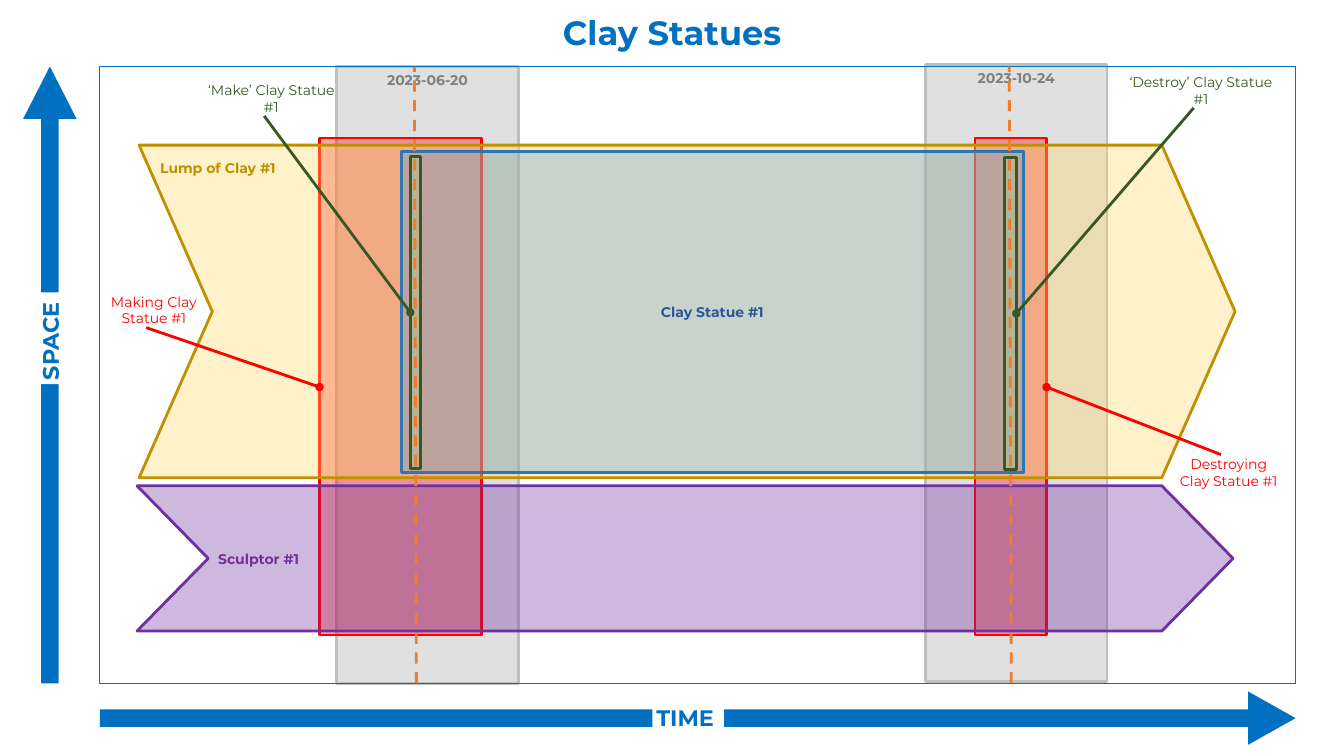
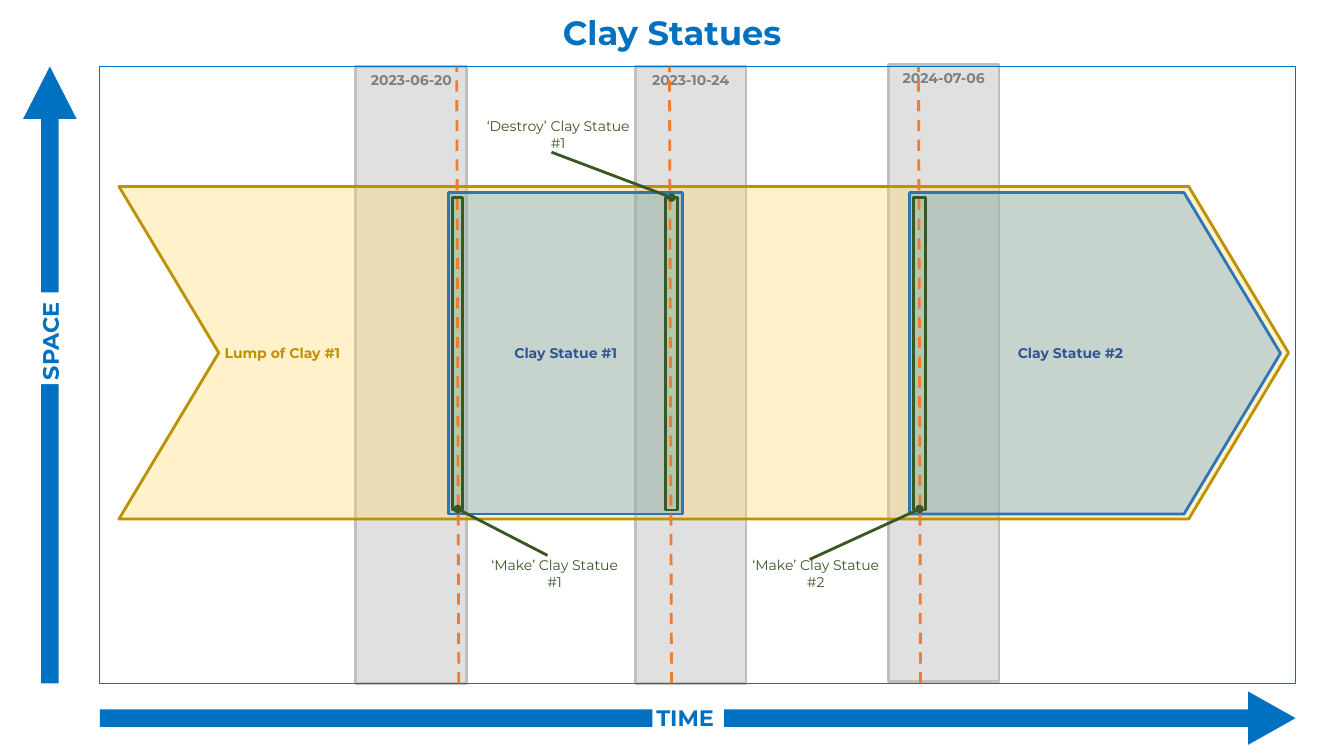
import pptx
import pptx.util
import pptx.dml.color
import pptx.enum.dml
import pptx.enum.shapes
import pptx.enum.text
import pptx.oxml
import pptx.oxml.ns
from lxml import etree

RGB = pptx.dml.color.RGBColor
SHAPE = pptx.enum.shapes.MSO_SHAPE
ALIGN = pptx.enum.text.PP_ALIGN
ANCHOR = pptx.enum.text.MSO_ANCHOR
qn = pptx.oxml.ns.qn

BLUE = RGB(0x00, 0x70, 0xC0)
WHITE = RGB(0xFF, 0xFF, 0xFF)
GRAY = RGB(0xA6, 0xA6, 0xA6)
GRAY_EDGE = RGB(0xBF, 0xBF, 0xBF)
GRAY_TEXT = RGB(0x80, 0x80, 0x80)
RED = RGB(0xFF, 0x00, 0x00)
CLAY = RGB(0xFF, 0xD9, 0x66)
CLAY_EDGE = RGB(0xBF, 0x90, 0x00)
PURPLE = RGB(0x70, 0x30, 0xA0)
STATUE = RGB(0x5B, 0x9B, 0xD5)
STATUE_EDGE = RGB(0x2E, 0x75, 0xB6)
STATUE_TEXT = RGB(0x2F, 0x55, 0x97)
EVENT = RGB(0xA9, 0xD1, 0x8E)
GREEN = RGB(0x38, 0x57, 0x23)
ORANGE = RGB(0xED, 0x7D, 0x31)

FONT = "Montserrat"
TINT = 34  # opacity of every overlapping area, in percent
TIGHT = (0.04, 0, 0.04, 0)
NORMAL = (0.1, 0.05, 0.1, 0.05)
CALLOUT = (0.24, 0.05, 0.1, 0.05)

prs = pptx.Presentation()
prs.slide_width = pptx.util.Inches(13.33)
prs.slide_height = pptx.util.Inches(7.5)

# Grid: 13.33 columns by 7.5 rows; the frame holds the diagram
COL = prs.slide_width / 13.33
ROW = prs.slide_height / 7.5
LEFT, TOP, WIDE, HIGH = 0.99, 0.66, 11.86, 6.12


def write(sp, text, size=10, color=BLUE, bold=True, align=ALIGN.CENTER,
          anchor=ANCHOR.MIDDLE, insets=NORMAL):
    tf = sp.text_frame
    tf.word_wrap = True
    tf.auto_size = pptx.enum.text.MSO_AUTO_SIZE.NONE
    tf.vertical_anchor = anchor
    tf.margin_left, tf.margin_right = (int(i * COL) for i in insets[::2])
    tf.margin_top, tf.margin_bottom = (int(i * ROW) for i in insets[1::2])
    for i, line in enumerate(text.split("\n")):
        p = tf.add_paragraph() if i else tf.paragraphs[0]
        p.alignment = align
        r = p.add_run()
        r.text = line
        r.font.name, r.font.size, r.font.bold = FONT, pptx.util.Pt(size), bold
        r.font.color.rgb = color


def box(s, kind, x, y, w, h, fill=None, alpha=100, edge=None, weight=2, adj=()):
    sp = s.shapes.add_shape(kind, int(x * COL), int(y * ROW), int(w * COL), int(h * ROW))
    sp.shadow.inherit = False
    for i, value in enumerate(adj):
        sp.adjustments[i] = value
    if fill is None:
        sp.fill.background()
    else:
        sp.fill.solid()
        sp.fill.fore_color.rgb = fill
        if alpha < 100:
            clr = sp.fill._xPr.find(qn("a:solidFill"))[0]
            etree.SubElement(clr, qn("a:alpha")).set("val", str(alpha * 1000))
    if edge is None:
        sp.line.fill.background()
    else:
        sp.line.color.rgb = edge
        sp.line.width = pptx.util.Pt(weight)
    return sp


# What each slide shows
# bands: x, y, width, date        activities: x, width
# chevrons: x, y, w, h, adj, fill, edge, text
# statues: kind, x, y, w, h, adj, text, left inset
# dates: top x                    events: x, y, width
# names: x, y, w, text            callouts: x, y, w, h, text, colour
# pointers: from x, from y, to x, to y, colour
slides = [
    dict(
        bands=[(3.34, 0.66, 1.8, "2023-06-20"), (9.18, 0.64, 1.8, "2023-10-24")],
        activities=[(3.17, 1.61), (9.67, 0.71)],
        chevrons=[(1.38, 1.44, 10.87, 3.3, 0.22, CLAY, CLAY_EDGE, ""),
                  (1.36, 4.82, 10.87, 1.44, 0.49, PURPLE, PURPLE, "Sculptor #1")],
        statues=[(SHAPE.RECTANGLE, 3.98, 1.5, 6.17, 3.19, (), "Clay Statue #1", 0.1)],
        dates=[4.11, 10.01],
        events=[(4.07, 1.55, 0.1), (9.96, 1.56, 0.12)],
        names=[(1.49, 1.53, 1.45, "Lump of Clay #1")],
        callouts=[(1.76, 0.8, 1.72, 0.35, "‘Make’ Clay Statue #1", GREEN),
                  (10.94, 0.72, 1.8, 0.35, "‘Destroy’ Clay Statue #1", GREEN),
                  (0.73, 2.9, 1.45, 0.35, "Making Clay Statue #1", RED),
                  (11.39, 4.51, 1.45, 0.35, "Destroying\nClay Statue #1", RED)],
        pointers=[(2.62, 1.15, 4.07, 3.1, GREEN), (11.84, 1.07, 10.08, 3.11, GREEN),
                  (1.45, 3.25, 3.17, 3.84, RED), (12.11, 4.51, 10.38, 3.84, RED)],
    ),
    dict(
        bands=[(8.81, 0.64, 1.1, "2024-07-06"), (3.53, 0.66, 1.1, "2023-06-20"),
               (6.3, 0.66, 1.1, "2023-10-24")],
        activities=[],
        chevrons=[(1.18, 1.85, 11.6, 3.3, 0.3, CLAY, CLAY_EDGE, "")],
        statues=[(SHAPE.RECTANGLE, 4.45, 1.91, 2.32, 3.19, (), "Clay Statue #1", 0.1),
                 (SHAPE.RIGHT_ARROW, 9.02, 1.91, 3.68, 3.19, (1, 0.3), "Clay Statue #2", 0.57)],
        dates=[4.53, 6.64, 9.11],
        events=[(4.49, 1.96, 0.1), (6.6, 1.96, 0.12), (9.06, 1.96, 0.12)],
        names=[(2.13, 3.37, 1.49, "Lump of Clay #1")],
        callouts=[(4.57, 5.51, 1.72, 0.35, "‘Make’ Clay Statue #1", GREEN),
                  (4.51, 1.16, 1.91, 0.35, "‘Destroy’ Clay Statue #1", GREEN),
                  (7.17, 5.55, 1.7, 0.28, "‘Make’ Clay Statue #2", GREEN)],
        pointers=[(5.43, 5.51, 4.54, 5.05, GREEN), (5.47, 1.51, 6.66, 1.96, GREEN),
                  (8.03, 5.55, 9.12, 5.05, GREEN)],
    ),
]

for d in slides:
    s = prs.slides.add_slide(prs.slide_layouts[5])

    # Title
    sp = s.shapes.title
    sp.left, sp.top = int(5.46 * COL), int(0.12 * ROW)
    sp.width, sp.height = int(2.41 * COL), int(0.4 * ROW)
    write(sp, "Clay Statues", size=24, insets=TIGHT)

    # Date bands, activities, chevrons and statues
    for x, y, w, date in d["bands"]:
        sp = box(s, SHAPE.RECTANGLE, x, y, w, HIGH, GRAY, TINT, GRAY_EDGE)
        write(sp, date, color=GRAY_TEXT, anchor=ANCHOR.TOP)
    for x, w in d["activities"]:
        box(s, SHAPE.RECTANGLE, x, 1.37, w, 4.93, RED, TINT, RED)
    for x, y, w, h, adj, fill, edge, text in d["chevrons"]:
        sp = box(s, SHAPE.CHEVRON, x, y, w, h, fill, TINT, edge, adj=(adj,))
        if text:
            write(sp, text, color=edge, align=ALIGN.LEFT)
    for kind, x, y, w, h, adj, text, inset in d["statues"]:
        sp = box(s, kind, x, y, w, h, STATUE, TINT, STATUE_EDGE, adj=adj)
        write(sp, text, color=STATUE_TEXT, insets=(inset, 0.05, 0.1, 0.05))

    # Frame with the space and time axes
    box(s, SHAPE.RECTANGLE, LEFT, TOP, WIDE, HIGH, edge=BLUE, weight=1)
    box(s, SHAPE.UP_ARROW, 0.23, TOP, 0.53, HIGH, BLUE, adj=(0.33, 0.98))
    box(s, SHAPE.RIGHT_ARROW, LEFT, 6.86, WIDE, 0.53, BLUE, adj=(0.33, 0.89))
    for x, y, w, turn, text in [(0.04, 3.22, 0.91, 270, "SPACE"), (6.47, 6.98, 0.71, 0, "TIME")]:
        sp = box(s, SHAPE.RECTANGLE, x, y, w, 0.27, WHITE)
        sp.rotation = turn
        write(sp, text, size=16, align=ALIGN.LEFT, insets=TIGHT)

    # Events
    for x, y, w in d["events"]:
        box(s, SHAPE.RECTANGLE, x, y, w, 3.1, EVENT, TINT, GREEN)

    # Dashed date lines and dotted pointers
    dates = [(x + 0.02, TOP + HIGH, x, TOP, ORANGE) for x in d["dates"]]
    for x1, y1, x2, y2, color in dates + d["pointers"]:
        ln = s.shapes.add_connector(pptx.enum.shapes.MSO_CONNECTOR.STRAIGHT,
                                    int(x1 * COL), int(y1 * ROW), int(x2 * COL), int(y2 * ROW))
        ln.line.color.rgb = color
        ln.line.width = pptx.util.Pt(2)
        if color == ORANGE:
            ln.line.dash_style = pptx.enum.dml.MSO_LINE.DASH
        else:
            etree.SubElement(ln.line._get_or_add_ln(), qn("a:tailEnd")).set("type", "oval")
        etree.SubElement(ln._element.spPr, qn("a:effectLst"))

    # Names and callouts
    for x, y, w, text in d["names"]:
        sp = s.shapes.add_textbox(int(x * COL), int(y * ROW), int(w * COL), int(0.27 * ROW))
        write(sp, text, color=CLAY_EDGE, align=ALIGN.LEFT, anchor=ANCHOR.TOP)
    for x, y, w, h, text, color in d["callouts"]:
        sp = s.shapes.add_textbox(int(x * COL), int(y * ROW), int(w * COL), int(h * ROW))
        write(sp, text, color=color, bold=False, insets=CALLOUT)

prs.save("out.pptx")
